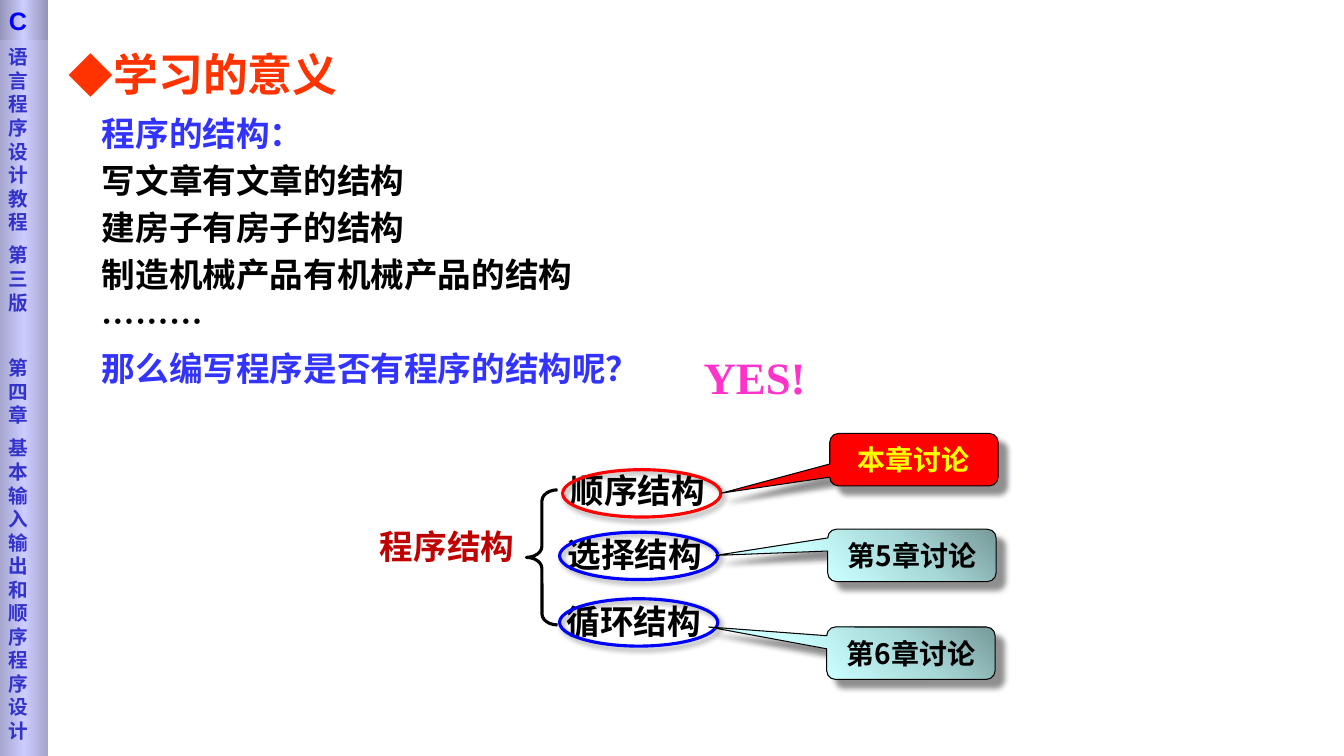
from pptx import Presentation
from pptx.dml.color import RGBColor
from pptx.enum.shapes import MSO_SHAPE as Form
from pptx.enum.text import MSO_ANCHOR as Anchor, MSO_AUTO_SIZE as Fit, PP_ALIGN as Align
from pptx.oxml import parse_xml
from pptx.oxml.ns import qn
from pptx.util import Inches, Pt

NS = 'xmlns:a="http://schemas.openxmlformats.org/drawingml/2006/main"'
CJK = "Noto Sans CJK SC"
TIMES = "Times New Roman"
TEAL = ["779999", "A9DADA", "CCFFFF"]


def tint(code):
    """Turn a hex string into a colour."""
    return RGBColor.from_string(code)


def place(item, box):
    """Move an item to a box given in inches."""
    item.left, item.top, item.width, item.height = [Inches(n) for n in box]


def style(para, size, code, face):
    """Format the runs of a paragraph."""
    for run in para.runs:
        font = run.font
        font.size, font.bold, font.name = Pt(size), True, face
        font.color.rgb = tint(code)
        run._r.get_or_add_rPr().find(qn("a:latin")).addnext(
            parse_xml(f'<a:ea {NS} typeface="{CJK}"/>'))


def setup(frame, anchor=Anchor.TOP):
    """Give a text frame plain wrapping and an anchor."""
    frame.word_wrap, frame.auto_size = True, Fit.NONE
    frame.vertical_anchor = anchor
    frame.margin_left = frame.margin_right = Inches(0.1)
    frame.margin_top = frame.margin_bottom = Inches(0.05)


def label(slide, box, text, size, code):
    """Add a one-line text box."""
    item = slide.shapes.add_textbox(0, 0, 0, 0)
    place(item, box)
    setup(item.text_frame)
    item.text_frame.text = text
    style(item.text_frame.paragraphs[0], size, code, TIMES)


def blend(shape, codes, angle):
    """Fill a shape with evenly spaced gradient stops."""
    shape.fill.gradient()
    grad = shape._element.spPr.find(qn("a:gradFill"))
    step = 100000 // (len(codes) - 1)
    stops = "".join(f'<a:gs pos="{i * step}"><a:srgbClr val="{code}"/></a:gs>'
                    for i, code in enumerate(codes))
    grad.addprevious(parse_xml(
        f'<a:gradFill {NS} rotWithShape="1"><a:gsLst>{stops}</a:gsLst>'
        f'<a:lin ang="{angle * 60000}" scaled="0"/></a:gradFill>'))
    grad.getparent().remove(grad)


def shade(shape, alpha, dist):
    """Cast a soft shadow to the lower right."""
    spot = shape._element.spPr.find(qn("a:effectLst"))
    spot.append(parse_xml(
        f'<a:outerShdw {NS} blurRad="{Pt(4)}" dist="{Pt(dist)}" dir="2700000" '
        f'algn="tl" rotWithShape="0"><a:srgbClr val="000000">'
        f'<a:alpha val="{alpha * 1000}"/></a:srgbClr></a:outerShdw>'))


def form(slide, kind, box, code=None, width=0):
    """Add an unfilled shape with an optional outline."""
    shape = slide.shapes.add_shape(kind, 0, 0, 0, 0)
    place(shape, box)
    shape.shadow.inherit = False
    shape.fill.background()
    if code:
        shape.line.color.rgb, shape.line.width = tint(code), Pt(width)
    else:
        shape.line.fill.background()
    return shape


def head(slide, box):
    """Fill the title with its diamond bullet."""
    item = slide.shapes.title
    place(item, box)
    setup(item.text_frame)
    item.text_frame.text = "学习的意义"
    para = item.text_frame.paragraphs[0]
    para.alignment = Align.LEFT
    prop = para._p.get_or_add_pPr()
    prop.set("marL", str(Inches(0.19)))
    prop.set("indent", str(-Inches(0.19)))
    prop.append(parse_xml(f'<a:buFont {NS} typeface="{CJK}"/>'))
    prop.append(parse_xml(f'<a:buChar {NS} char="◆"/>'))
    style(para, 32, "FF3300", "Arial")


def body(slide, box):
    """Fill the list about structure."""
    rows = ["程序的结构：", "写文章有文章的结构", "建房子有房子的结构",
            "制造机械产品有机械产品的结构", "………", "那么编写程序是否有程序的结构呢？"]
    item = slide.placeholders[1]
    place(item, box)
    frame = item.text_frame
    setup(frame)
    frame.margin_left = Inches(0.4)
    frame.text = "\n".join(rows)
    for i, para in enumerate(frame.paragraphs):
        prop = para._p.get_or_add_pPr()
        prop.set("marL", "0")
        prop.set("indent", "0")
        prop.append(parse_xml(f"<a:buNone {NS}/>"))
        para.space_before = Pt(4.8 if i else 0)
        style(para, 24, "3333FF" if i in (0, len(rows) - 1) else "000000", CJK)


def callout(slide, box, text, code, fill, tip):
    """Add a callout whose tip points at an ellipse."""
    shape = form(slide, Form.ROUNDED_RECTANGULAR_CALLOUT, box, "000000", 0.75)
    for i, part in enumerate((*tip, 0.167)):
        shape.adjustments[i] = part
    if len(fill) > 1:
        blend(shape, fill, 135)
    else:
        shape.fill.solid()
        shape.fill.fore_color.rgb = tint(fill[0])
    shade(shape, 43, 8.4)
    setup(shape.text_frame, Anchor.MIDDLE)
    shape.text_frame.text = text
    para = shape.text_frame.paragraphs[0]
    para.alignment = Align.CENTER
    style(para, 20, code, CJK)


def tree(slide, left, top):
    """Draw the three program structures with their callouts."""
    label(slide, (left, top + 0.87, 1.73, 0.5), "程序结构", 24, "C00000")
    brace = form(slide, Form.LEFT_BRACE, (left + 1.55, top + 0.56, 0.31, 1.34), "000000", 2.25)
    brace.adjustments[0] = 0.355
    rows = [
        ("顺序结构", 1.89, 0.31, "FF0000", 1.91, 0.36,
         "本章讨论", "FFFF00", ["FF0000"], 4.56, 0, (-1.142, 0.638)),
        ("选择结构", 1.86, 0.95, "0000FF", 1.88, 0.98,
         "第5章讨论", "000000", TEAL, 4.54, 0.95, (-1.164, 0)),
        ("循环结构", 1.85, 1.61, "0000FF", 1.88, 1.64,
         "第6章讨论", "000000", TEAL, 4.53, 1.92, (-1.2, -0.5)),
    ]
    for name, x, y, edge, ex, ey, note, code, fill, cx, cy, tip in rows:
        label(slide, (left + x, top + y, 1.73, 0.5), name, 24, "000000")
        ring = form(slide, Form.OVAL, (left + ex, top + ey, 1.57, 0.47), edge, 2.25)
        shade(ring, 40, 3)
        callout(slide, (left + cx, top + cy, 1.67, 0.52), note, code, fill, tip)


def side(slide, left, top, width, height):
    """Draw the side bar with the book and chapter names."""
    rows = ["语言程序设计教程", "第三版", "第四章", "基本输入输出和顺序程序设计"]
    bar = form(slide, Form.RECTANGLE, (left, top, width, height))
    blend(bar, ["A4A4CD", "CCCCFF", "A4A4CD"], 0)
    frame = bar.text_frame
    setup(frame)
    frame.margin_top = Inches(0.45)
    frame.text = "\n".join(rows)
    for para, gap in zip(frame.paragraphs, (0, 7, 30, 7)):
        para.alignment, para.space_before = Align.LEFT, Pt(gap)
        style(para, 14, "3333CC", "DejaVu Sans")
    cap = form(slide, Form.RECTANGLE, (left, top, width, 0.4))
    blend(cap, ["9292B6", "CCCCFF", "9292B6"], 0)
    setup(cap.text_frame)
    cap.text_frame.text = "C"
    para = cap.text_frame.paragraphs[0]
    para.alignment = Align.LEFT
    style(para, 18, "0000FF", "Arial")


def main():
    """Build and save the slide."""
    deck = Presentation()
    deck.slide_width, deck.slide_height = Inches(13.33), Inches(7.5)
    slide = deck.slides.add_slide(deck.slide_layouts[1])
    body(slide, (0.61, 1.07, 9.38, 3.07))
    head(slide, (0.58, 0.41, 7.8, 0.63))
    label(slide, (6.88, 3.42, 1.73, 0.63), "YES!", 32, "FF33CC")
    tree(slide, 3.67, 4.3)
    side(slide, -0.01, 0, 0.49, 7.5)
    deck.save("out.pptx")


if __name__ == "__main__":
    main()
